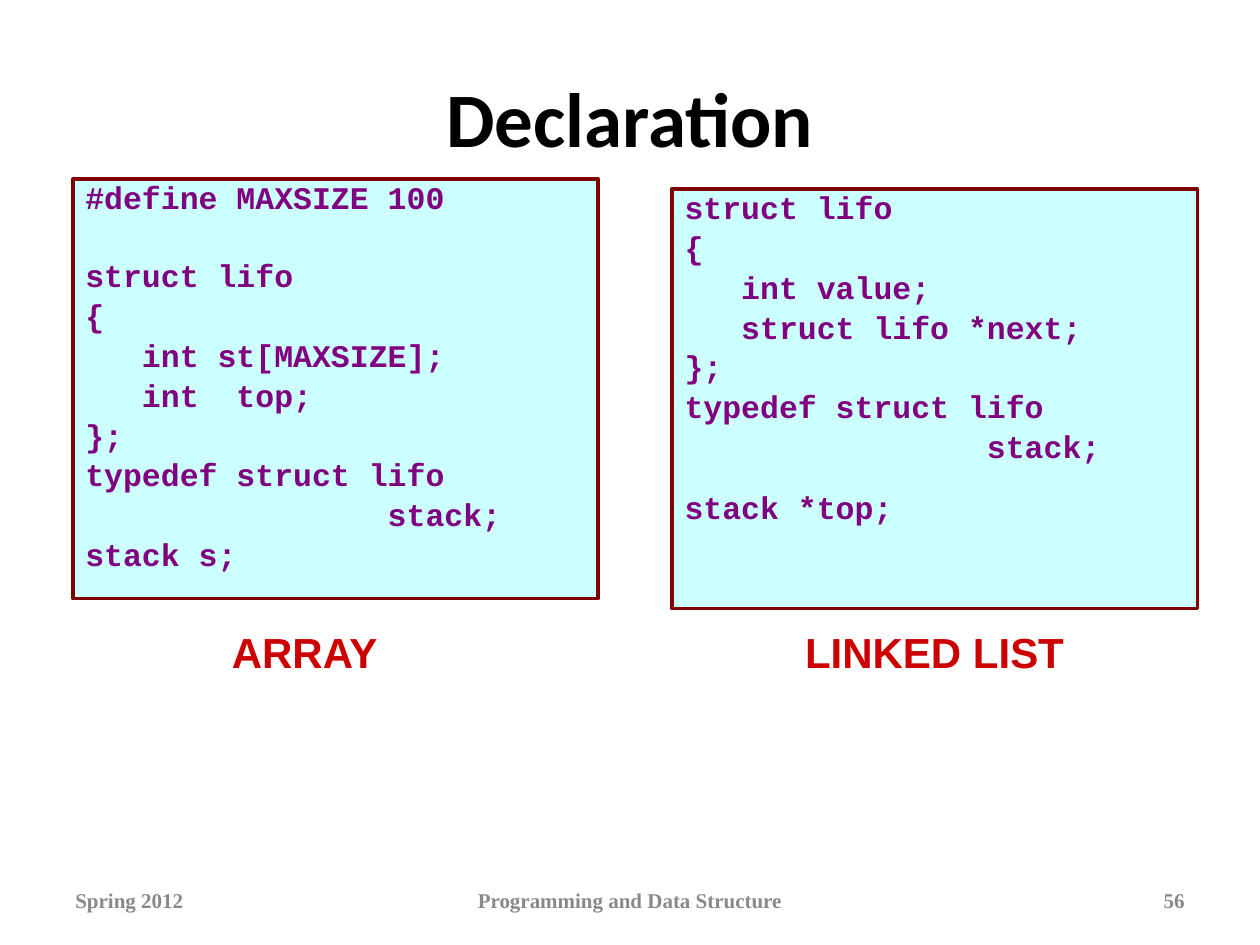
from lxml import etree
from pptx import Presentation
from pptx.dml.color import RGBColor
from pptx.enum.shapes import MSO_SHAPE
from pptx.enum.text import MSO_ANCHOR, PP_ALIGN
from pptx.util import Cm, Pt

RECTANGLE = MSO_SHAPE.RECTANGLE
TOP, MIDDLE = MSO_ANCHOR.TOP, MSO_ANCHOR.MIDDLE
LEFT, CENTER, RIGHT = PP_ALIGN.LEFT, PP_ALIGN.CENTER, PP_ALIGN.RIGHT

BLACK = RGBColor(0x00, 0x00, 0x00)
PALE_CYAN = RGBColor(0xCC, 0xFF, 0xFF)
MAROON = RGBColor(0x80, 0x00, 0x00)
PURPLE = RGBColor(0x80, 0x00, 0x80)
RED = RGBColor(0xCC, 0x00, 0x00)
GREY = RGBColor(0x89, 0x89, 0x89)

TITLE_FONT = {"name": "Calibri", "size": Pt(44), "bold": True}
CODE_FONT = {"name": "Courier New", "size": Pt(18), "bold": True}
CAPTION_FONT = {"name": "Arial", "size": Pt(24), "bold": True}
FOOTER_FONT = {"name": "Times New Roman", "size": Pt(12), "bold": True}

TITLE_TEXT = "Declaration"
LINE_GAP = Pt(5.5)

ARRAY_CODE = """#define MAXSIZE 100
struct lifo
{
   int st[MAXSIZE];
   int  top;
};
typedef struct lifo
                stack;
stack s;"""

LIST_CODE = """struct lifo
{
   int value;
   struct lifo *next;
};
typedef struct lifo
                stack;
stack *top;"""

# left, top, code, index of the line set apart, space before that line
PANELS = [
    (1.47, 3.61, ARRAY_CODE, 1, Pt(27.3)),
    (13.55, 3.81, LIST_CODE, 7, Pt(17.4)),
]
# left, width, text
CAPTIONS = [
    (3.81, 4.66, "ARRAY"),
    (14.82, 8.04, "LINKED LIST"),
]
# left, width, text, alignment
FOOTERS = [
    (1.27, 5.93, "Spring 2012", LEFT),
    (8.68, 8.04, "Programming and Data Structure", CENTER),
    (18.2, 5.93, "56", RIGHT),
]


def format_font(font, values, color):
    for attribute, value in values.items():
        setattr(font, attribute, value)
    font.color.rgb = color


def add_title(slide):
    title = slide.shapes.title
    title.left, title.top = Cm(1.27), Cm(0.76)
    title.width, title.height = Cm(22.86), Cm(3.18)
    title.text_frame.vertical_anchor = MIDDLE
    paragraph = title.text_frame.paragraphs[0]
    paragraph.text = TITLE_TEXT
    paragraph.alignment = CENTER
    format_font(paragraph.runs[0].font, TITLE_FONT, BLACK)


def add_code_panel(slide, left, top, code, apart_index, apart_gap):
    """Draw a framed listing with one line set apart by a wider gap."""
    panel = slide.shapes.add_shape(RECTANGLE, Cm(left), Cm(top), Cm(10.59), Cm(8.46))
    panel.shadow.inherit = False
    panel.fill.solid()
    panel.fill.fore_color.rgb = PALE_CYAN
    panel.line.color.rgb = MAROON
    panel.line.width = Pt(2)
    frame = panel.text_frame
    frame.word_wrap = True
    frame.vertical_anchor = TOP
    for index, code_line in enumerate(code.split("\n")):
        paragraph = frame.add_paragraph() if index else frame.paragraphs[0]
        properties = paragraph._p.get_or_add_pPr()
        properties.set("marL", str(Cm(0.95)))
        properties.set("indent", str(Cm(-0.95)))
        paragraph.alignment = LEFT
        paragraph.line_spacing = 0.8
        if index:
            paragraph.space_before = apart_gap if index == apart_index else LINE_GAP
        run = paragraph.add_run()
        run.text = code_line
        format_font(run.font, CODE_FONT, PURPLE)


def add_label(slide, left, top, width, height, text, alignment, font_values, color, anchor):
    label = slide.shapes.add_textbox(Cm(left), Cm(top), Cm(width), Cm(height))
    frame = label.text_frame
    frame.word_wrap = True
    frame.vertical_anchor = anchor
    paragraph = frame.paragraphs[0]
    paragraph.alignment = alignment
    run = paragraph.add_run()
    run.text = text
    format_font(run.font, font_values, color)


def main():
    presentation = Presentation()
    presentation.slide_width, presentation.slide_height = Cm(25.4), Cm(19.05)
    title_only = presentation.slide_layouts[5]
    slide = presentation.slides.add_slide(title_only)

    add_title(slide)
    for panel in PANELS:
        add_code_panel(slide, *panel)
    for left, width, text, alignment in FOOTERS:
        add_label(slide, left, 17.65, width, 1.01, text, alignment, FOOTER_FONT, GREY, MIDDLE)
    for left, width, text in CAPTIONS:
        add_label(slide, left, 12.5, width, 1.27, text, CENTER, CAPTION_FONT, RED, TOP)

    presentation.save("out.pptx")


if __name__ == "__main__":
    main()
